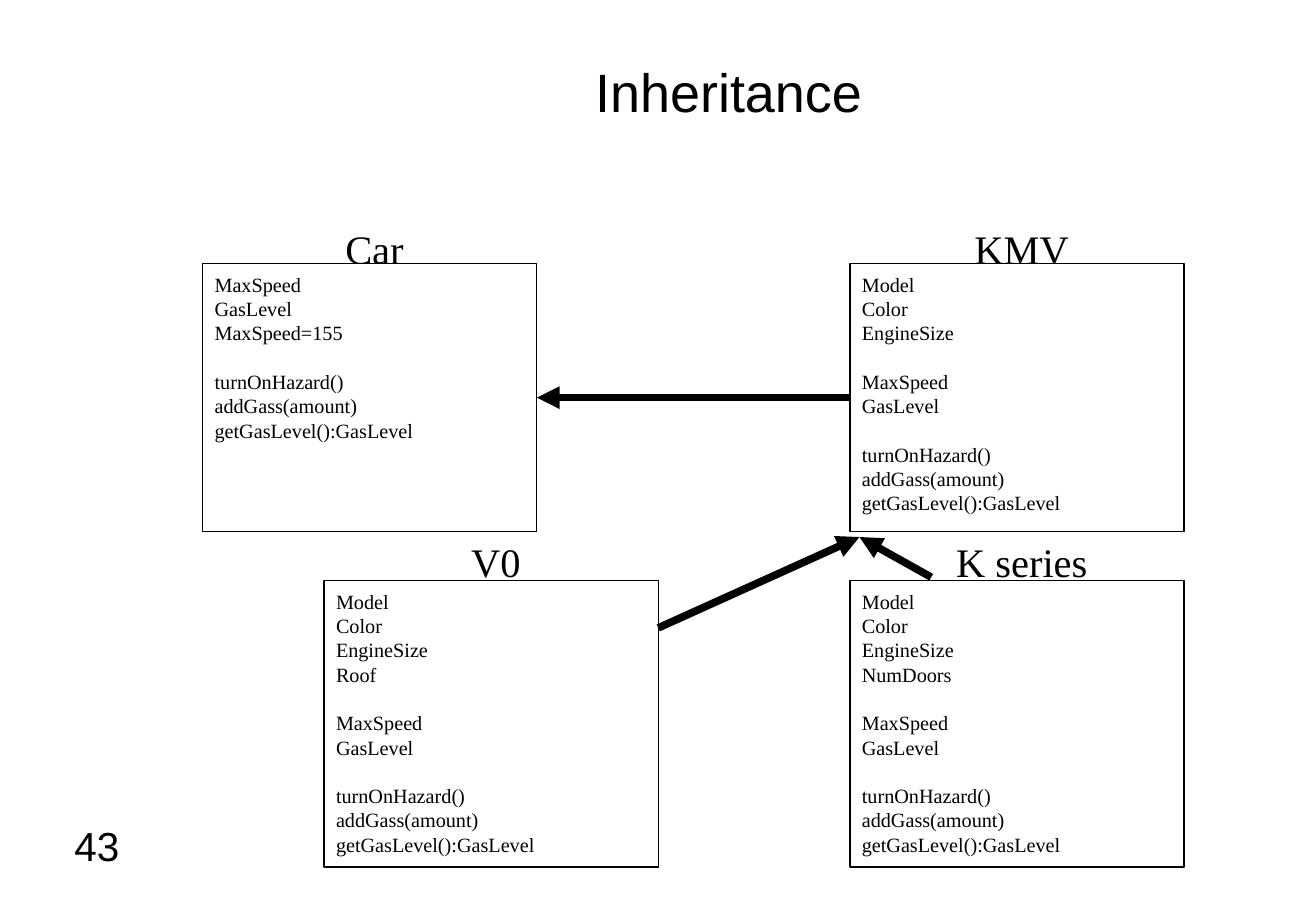
from pptx import Presentation
from pptx.dml.color import RGBColor
from pptx.enum.shapes import MSO_CONNECTOR, MSO_SHAPE
from pptx.enum.text import MSO_ANCHOR, PP_ALIGN
from pptx.oxml.ns import qn
from pptx.util import Cm, Pt
from lxml import etree

RECTANGLE = MSO_SHAPE.RECTANGLE
STRAIGHT = MSO_CONNECTOR.STRAIGHT
TOP, MIDDLE = MSO_ANCHOR.TOP, MSO_ANCHOR.MIDDLE
LEFT, CENTER, RIGHT = PP_ALIGN.LEFT, PP_ALIGN.CENTER, PP_ALIGN.RIGHT
LEFT_SIDE, RIGHT_SIDE = 1, 3

COLORS = {"ink": "000000", "paper": "FFFFFF"}
SANS, SERIF = "Arial", "Times New Roman"
LINE_PITCH = Pt(14.4)
BOX_WIDTH = 6.99
CAPTION_WIDTH, CAPTION_HEIGHT, CAPTION_INDENT = 3.81, 1.27, 1.69

UPPER_ROW = {"caption_top": 4.45, "top": 5.51, "height": 5.61}
LOWER_ROW = {"caption_top": 11, "top": 12.14, "height": 5.99}
STATE = ["MaxSpeed", "GasLevel"]
METHODS = ["turnOnHazard()", "addGass(amount)", "getGasLevel():GasLevel"]
DETAILS = ["Model", "Color", "EngineSize"]


class ClassDiagram:
    """Draws class boxes, captions and inheritance arrows on one slide."""

    def __init__(self, deck):
        self.page = deck.slides.add_slide(deck.slide_layouts[5])

    def color(self, name):
        return RGBColor.from_string(COLORS[name])

    def add_text(self, para, text, size, font, align):
        para.alignment = align
        span = para.add_run()
        span.text = text
        span.font.size = Pt(size)
        span.font.name = font
        span.font.color.rgb = self.color("ink")

    def title(self, text, left, top, width, height):
        box = self.page.shapes.title
        box.left, box.top, box.width, box.height = map(Cm, (left, top, width, height))
        box.text_frame.vertical_anchor = MIDDLE
        self.add_text(box.text_frame.paragraphs[0], text, 32, SANS, CENTER)

    def label(self, text, left, top, width, font=SERIF, align=CENTER):
        box = self.page.shapes.add_textbox(Cm(left), Cm(top), Cm(width), Cm(CAPTION_HEIGHT))
        frame = box.text_frame
        frame.word_wrap = True
        frame.margin_top, frame.margin_bottom = Cm(0.23), Cm(0)
        self.add_text(frame.paragraphs[0], text, 24, font, align)

    def class_box(self, name, left, row, groups):
        self.label(name, left + CAPTION_INDENT, row["caption_top"], CAPTION_WIDTH)
        box = self.page.shapes.add_shape(
            RECTANGLE, Cm(left), Cm(row["top"]), Cm(BOX_WIDTH), Cm(row["height"]))
        box.shadow.inherit = False
        box.fill.solid()
        box.fill.fore_color.rgb = self.color("paper")
        box.line.color.rgb = self.color("ink")
        box.line.width = Pt(0.75)
        frame = box.text_frame
        frame.word_wrap = True
        frame.vertical_anchor = TOP
        frame.margin_top = Cm(0.18)
        para = frame.paragraphs[0]
        for group_index, group in enumerate(groups):
            for member_index, member in enumerate(group):
                if group_index or member_index:
                    para = frame.add_paragraph()
                para.line_spacing = LINE_PITCH
                if group_index and not member_index:
                    para.space_before = LINE_PITCH
                self.add_text(para, member, 12, SERIF, LEFT)
        return box

    def arrow(self, start=(0, 0), end=(0, 0), child=None, parent=None):
        line = self.page.shapes.add_connector(STRAIGHT, *map(Cm, start + end))
        if child is not None:
            line.begin_connect(child, LEFT_SIDE)
        if parent is not None:
            line.end_connect(parent, RIGHT_SIDE)
        line.line.color.rgb = self.color("ink")
        line.line.width = Pt(4.5)
        properties = line._element.spPr
        etree.SubElement(properties.find(qn("a:ln")), qn("a:tailEnd"), type="triangle")
        etree.SubElement(properties, qn("a:effectLst"))


def main():
    deck = Presentation()
    deck.slide_width, deck.slide_height = Cm(27.53), Cm(19.05)
    diagram = ClassDiagram(deck)
    diagram.title("Inheritance", 4.45, 0.64, 21.59, 2.54)
    diagram.label("43", 0.64, 16.94, 2.11, SANS, RIGHT)

    car = diagram.class_box("Car", 4.24, UPPER_ROW, [STATE + ["MaxSpeed=155"], METHODS])
    brand = diagram.class_box("KMV", 17.78, UPPER_ROW, [DETAILS, STATE, METHODS])
    diagram.class_box("V0", 6.78, LOWER_ROW, [DETAILS + ["Roof"], STATE, METHODS])
    diagram.class_box("K series", 17.78, LOWER_ROW, [DETAILS + ["NumDoors"], STATE, METHODS])

    diagram.arrow(child=brand, parent=car)
    brand_corner = (17.98, 11.23)
    for start in [(13.77, 13.13), (19.48, 12.07)]:
        diagram.arrow(start, brand_corner)
    deck.save("out.pptx")


if __name__ == "__main__":
    main()
